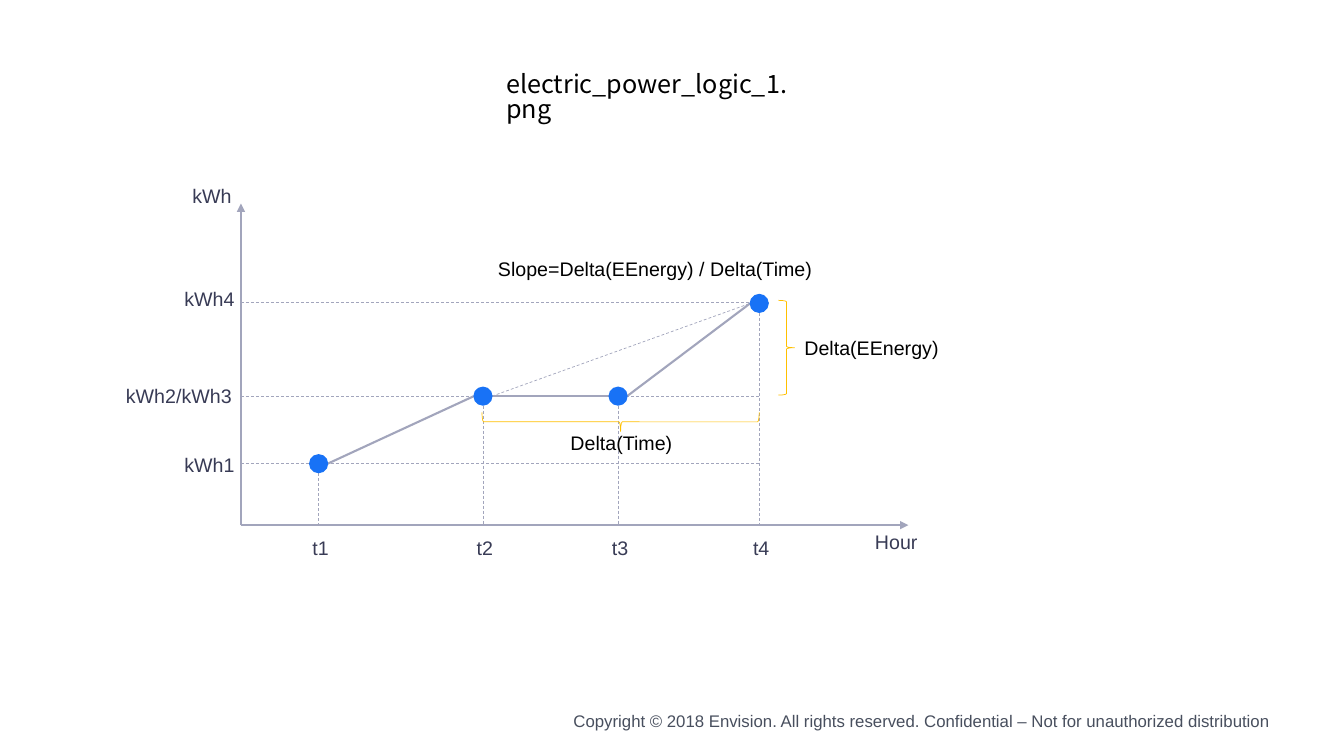
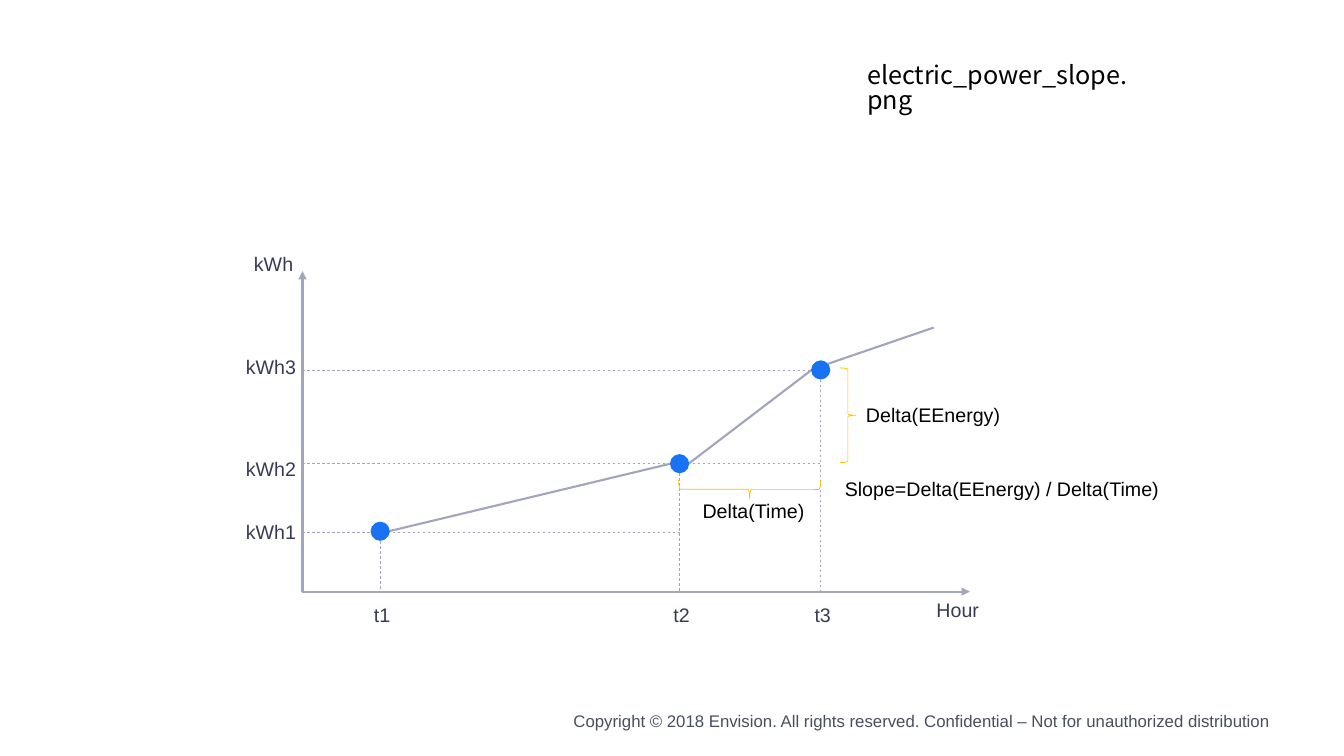
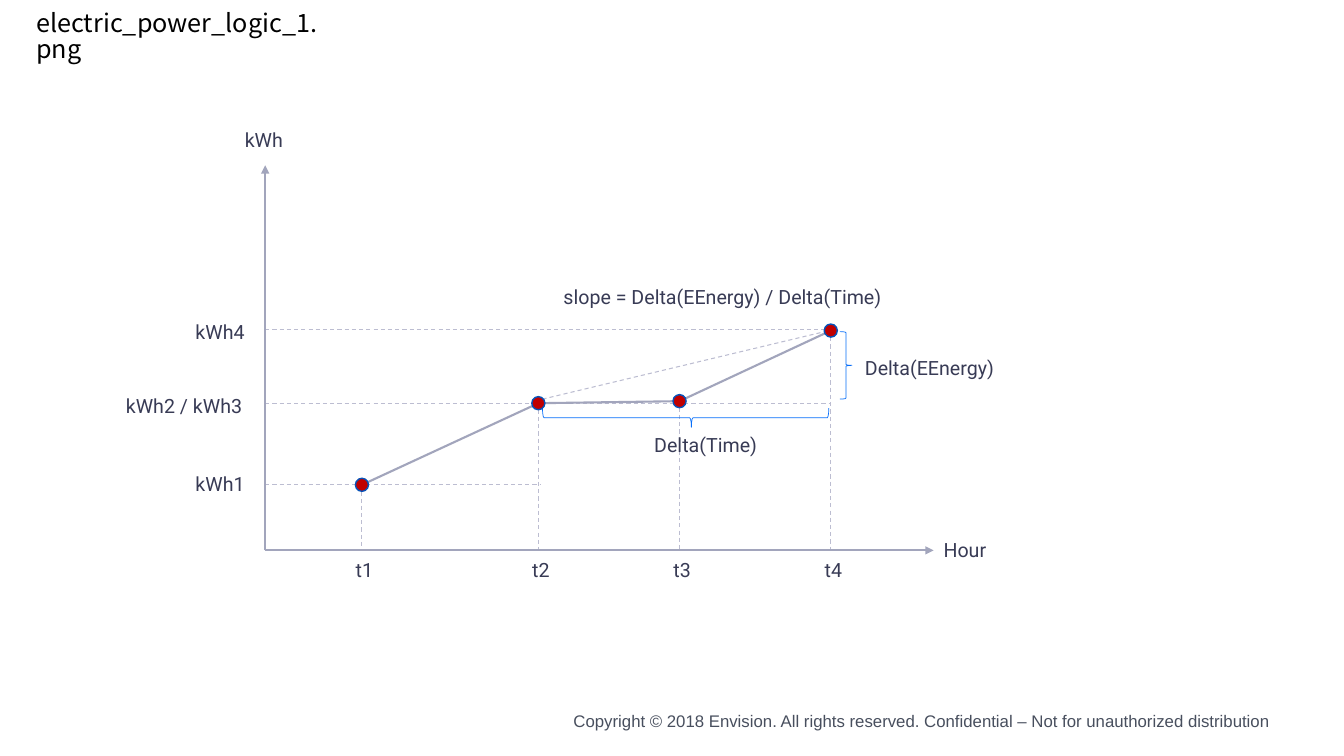
from itertools import pairwise

from lxml.etree import SubElement
from pptx import Presentation
from pptx.dml.color import RGBColor
from pptx.enum.dml import MSO_LINE_DASH_STYLE as Dash
from pptx.enum.shapes import MSO_CONNECTOR_TYPE as Connector
from pptx.enum.shapes import MSO_SHAPE as Preset
from pptx.enum.text import MSO_ANCHOR as Anchor
from pptx.enum.text import MSO_AUTO_SIZE as AutoSize
from pptx.enum.text import PP_ALIGN as Align
from pptx.oxml.ns import qn
from pptx.util import Inches, Pt

COLORS = {
    "black": "000000",
    "label": "383B55",
    "footer": "484F5E",
    "axis": "A2A5BC",
    "pale": "BCBDD1",
    "blue": "1872F6",
    "red": "C00000",
    "rim": "0652B8",
    "yellow": "FFC000",
    "bright": "086FF9",
}
TITLE_FONT = "Noto Sans CJK SC"
FOOTER = ("Copyright © 2018 Envision. All rights reserved. "
          "Confidential – Not for unauthorized distribution")
LABEL_HEIGHT = 0.34
TICK_SHIFT = 0.16

YELLOW_STYLE = {
    "font": "Arial", "callout": "black", "dash": ("axis", 0.5), "brace": "yellow",
    "dot": 0.19, "dot_fill": "blue", "dot_rim": None, "trace_gap": 0.09, "tick_gap": 0.06,
}
BLUE_STYLE = {
    "font": "Roboto", "callout": "label", "dash": ("pale", 0.75), "brace": "bright",
    "dot": 0.13, "dot_fill": "red", "dot_rim": "rim", "trace_gap": 0, "tick_gap": 0.03,
}

# Points and lines are (x, y); levels are (y, right end);
# labels and callouts are (text, left, top, width);
# braces are (left, top, length, thickness).
DIAGRAMS = [
    {
        "title": ("electric_power_logic_1.png", 4.92, 0.67, 3.1),
        "style": YELLOW_STYLE,
        "origin": (2.39, 5.21), "axis_top": 2.02, "axis_right": 9.01,
        "points": [(3.16, 4.6), (4.79, 3.93), (6.13, 3.93), (7.53, 3.01)],
        "levels": [(4.6, 7.53), (3.93, 7.53), (3.0, 7.63)],
        "slope": [(4.88, 3.93), (7.44, 3.01)],
        "labels": [("kWh", 1.81, 1.78, 1.13), ("kWh4", 1.73, 2.8, 1.13),
                   ("kWh2/kWh3", 1.15, 3.76, 1.31), ("kWh1", 1.73, 4.44, 1.13),
                   ("Hour", 8.58, 5.21, 1.13)],
        "callouts": [("Slope=Delta(EEnergy) / Delta(Time)", 4.84, 2.5, 3.81),
                     ("Delta(EEnergy)", 7.88, 3.28, 1.7),
                     ("Delta(Time)", 5.56, 4.23, 1.4)],
        "energy_brace": (7.72, 2.98, 0.94, 0.16),
        "time_brace": (4.78, 4.09, 2.75, 0.19),
    },
    {
        "title": ("electric_power_slope.png", 8.5, 0.58, 2.93),
        "style": YELLOW_STYLE,
        "origin": (3.0, 5.87), "axis_top": 2.69, "axis_right": 9.62,
        "points": [(3.77, 5.27), (6.74, 4.6), (8.14, 3.67)],
        "levels": [(5.28, 6.74), (4.6, 8.14), (3.67, 8.24)],
        "outlook": [(8.21, 3.61), (9.26, 3.25)],
        "labels": [("kWh", 2.42, 2.45, 1.13), ("kWh3", 2.34, 3.47, 1.13),
                   ("kWh2", 2.34, 4.48, 1.31), ("kWh1", 2.34, 5.11, 1.13),
                   ("Hour", 9.19, 5.88, 1.13)],
        "callouts": [("Slope=Delta(EEnergy) / Delta(Time)", 8.28, 4.68, 3.81),
                     ("Delta(EEnergy)", 8.49, 3.95, 1.7),
                     ("Delta(Time)", 6.87, 4.9, 1.4)],
        "energy_brace": (8.33, 3.65, 0.94, 0.16),
        "time_brace": (6.73, 4.76, 1.41, 0.19),
    },
    {
        "title": ("electric_power_logic_1.png", 0.26, 0.07, 3.1),
        "style": BLUE_STYLE,
        "origin": (2.63, 5.46), "axis_top": 1.64, "axis_right": 9.26,
        "points": [(3.59, 4.81), (5.34, 4.0), (6.74, 3.98), (8.24, 3.28)],
        "levels": [(4.81, 5.37), (4.0, 8.22), (3.27, 8.24)],
        "slope": [(5.38, 3.96), (8.18, 3.29)],
        "labels": [("kWh", 2.33, 1.22, 1.13), ("kWh4", 1.84, 3.12, 1.13),
                   ("kWh2 / kWh3", 1.15, 3.86, 1.72), ("kWh1", 1.84, 4.63, 1.13),
                   ("Hour", 9.26, 5.29, 1.13)],
        "callouts": [("slope = Delta(EEnergy) / Delta(Time)", 5.49, 2.78, 3.6),
                     ("Delta(EEnergy)", 8.48, 3.48, 1.68),
                     ("Delta(Time)", 6.39, 4.25, 1.68)],
        "energy_brace": (8.33, 3.29, 0.67, 0.12),
        "time_brace": (5.38, 4.05, 2.84, 0.19),
        "time_brace_tip": 0.48,
    },
]


def rgb(name):
    return RGBColor.from_string(COLORS[name])


def write(shape, text, size, font, color, align=Align.LEFT):
    frame = shape.text_frame
    frame.text = text
    frame.word_wrap = True
    frame.auto_size = AutoSize.NONE
    frame.vertical_anchor = Anchor.TOP
    paragraph = frame.paragraphs[0]
    paragraph.alignment = align
    run_font = paragraph.runs[0].font
    run_font.size, run_font.name = Pt(size), font
    run_font.color.rgb = rgb(color)
    return paragraph


def add_text(slide, text, left, top, width, size, font, color, align=Align.LEFT):
    box = slide.shapes.add_textbox(
        Inches(left), Inches(top), Inches(width), Inches(LABEL_HEIGHT))
    write(box, text, size, font, color, align)


def add_line(slide, start, end, color="axis", width=1.5, dashed=False, arrow=False):
    line = slide.shapes.add_connector(
        Connector.STRAIGHT, *(Inches(value) for value in (*start, *end)))
    line.line.color.rgb = rgb(color)
    line.line.width = Pt(width)
    if dashed:
        line.line.dash_style = Dash.DASH
    if arrow:
        SubElement(line.line._get_or_add_ln(), qn("a:tailEnd"), type="triangle")
    SubElement(line._element.spPr, qn("a:effectLst"))


def add_preset(slide, preset, left, top, width, height, fill=None, line=None, line_width=0.5):
    shape = slide.shapes.add_shape(
        preset, Inches(left), Inches(top), Inches(width), Inches(height))
    shape.shadow.inherit = False
    if fill:
        shape.fill.solid()
        shape.fill.fore_color.rgb = rgb(fill)
    else:
        shape.fill.background()
    if line:
        shape.line.color.rgb = rgb(line)
        shape.line.width = Pt(line_width)
    else:
        shape.line.fill.background()
    return shape


def add_title(slide, text, left, top, width):
    title = slide.shapes.title
    title.left, title.top = Inches(left), Inches(top)
    title.width, title.height = Inches(width), Inches(0.7)
    write(title, text, 18, TITLE_FONT, "black").line_spacing = 0.85


def add_braces(slide, diagram):
    color = diagram["style"]["brace"]
    left, top, length, thickness = diagram["energy_brace"]
    add_preset(slide, Preset.RIGHT_BRACE, left, top, thickness, length, line=color)
    left, top, length, thickness = diagram["time_brace"]
    shift = (length - thickness) / 2
    brace = add_preset(slide, Preset.RIGHT_BRACE, left + shift, top - shift,
                       thickness, length, line=color)
    brace.rotation = 90
    brace.adjustments[1] = diagram.get("time_brace_tip", 0.5)


def add_diagram(slide, diagram):
    style = diagram["style"]
    points = diagram["points"]
    axis_x, axis_y = diagram["origin"]
    dash_color, dash_width = style["dash"]
    radius = style["dot"] / 2

    guides = [((axis_x, y), (right, y)) for y, right in diagram["levels"]]
    guides += [((x, y + radius), (x, axis_y)) for x, y in points]
    if "slope" in diagram:
        guides.append(diagram["slope"])
    for start, end in guides:
        add_line(slide, start, end, dash_color, dash_width, dashed=True)

    for end in ((axis_x, diagram["axis_top"]), (diagram["axis_right"], axis_y)):
        add_line(slide, (axis_x, axis_y), end, arrow=True)

    gap = style["trace_gap"]
    for (x1, y1), (x2, y2) in pairwise(points):
        add_line(slide, (x1 + gap, y1), (x2 - gap, y2))
    if "outlook" in diagram:
        add_line(slide, *diagram["outlook"])

    add_braces(slide, diagram)
    for number, (x, y) in enumerate(points, 1):
        add_preset(slide, Preset.OVAL, x - radius, y - radius, style["dot"], style["dot"],
                   style["dot_fill"], style["dot_rim"], 1)
        add_text(slide, f"t{number}", x - TICK_SHIFT, axis_y + style["tick_gap"], 0.48,
                 14, style["font"], "label")
    for kind, color in (("labels", "label"), ("callouts", style["callout"])):
        for label in diagram[kind]:
            add_text(slide, *label, 14, style["font"], color)


def main():
    presentation = Presentation()
    presentation.slide_width, presentation.slide_height = Inches(13.33), Inches(7.5)
    title_only = presentation.slide_layouts[5]
    for diagram in DIAGRAMS:
        slide = presentation.slides.add_slide(title_only)
        add_title(slide, *diagram["title"])
        add_diagram(slide, diagram)
        add_text(slide, FOOTER, 4.87, 7, 7.83, 12, "Arial", "footer", Align.RIGHT)
    presentation.save("out.pptx")


if __name__ == "__main__":
    main()
